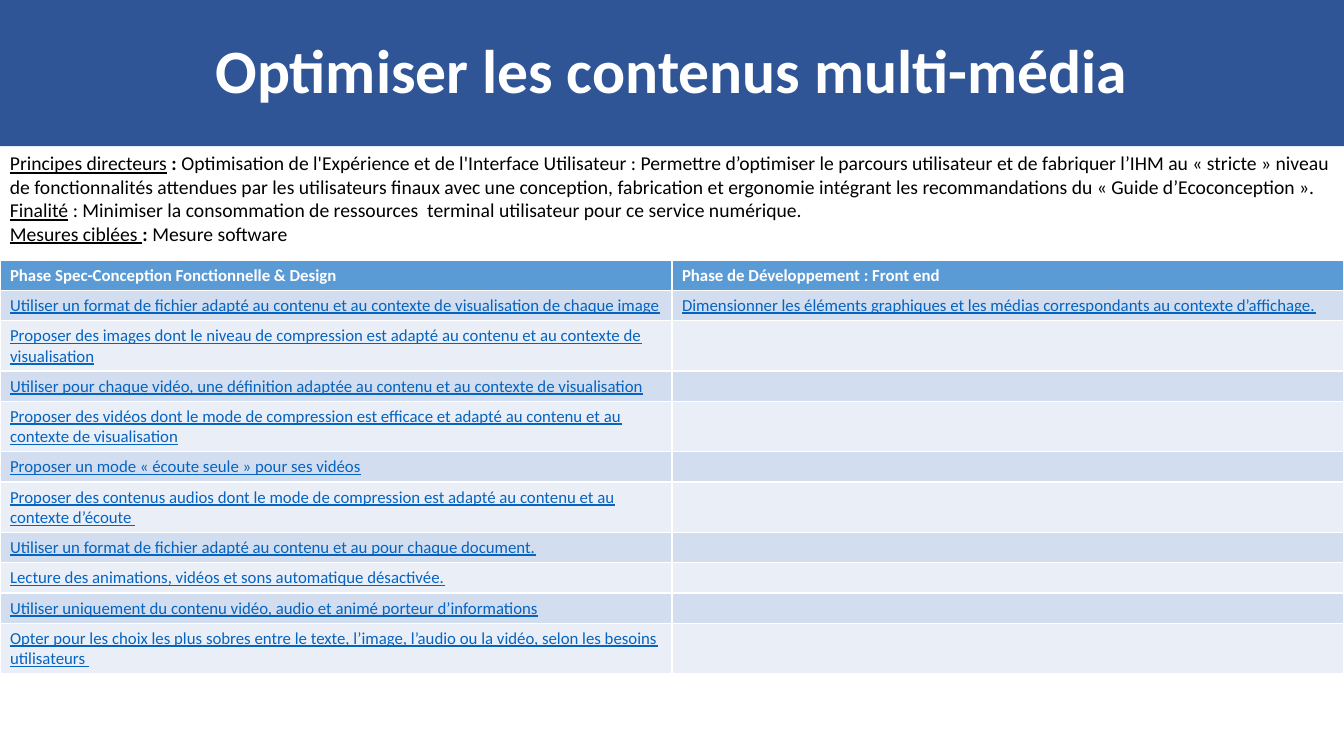
import pptx
import pptx.util
import pptx.dml.color
import pptx.enum.text

Inches = pptx.util.Inches
RGBColor = pptx.dml.color.RGBColor
NAVY = RGBColor(0x2F, 0x55, 0x97)
BLUE = RGBColor(0x5B, 0x9B, 0xD5)
PALE = RGBColor(0xD2, 0xDE, 0xEF)
LIGHT = RGBColor(0xEA, 0xEF, 0xF7)
LINK = RGBColor(0x05, 0x63, 0xC1)
WHITE = RGBColor(0xFF, 0xFF, 0xFF)
BLACK = RGBColor(0, 0, 0)
FACE = "Calibri"
WIDE = 13.33

INTRO = [
    [("Principes directeurs", "u"), (" : ", "b"),
     ("Optimisation de l'Expérience et de l'Interface Utilisateur : Permettre "
      "d’optimiser le parcours utilisateur et de fabriquer l’IHM au « stricte » "
      "niveau de fonctionnalités attendues par les utilisateurs finaux avec une "
      "conception, fabrication et ergonomie intégrant les recommandations du "
      "« Guide d’Ecoconception ».", "")],
    [("Finalité", "u"),
     (" : Minimiser la consommation de ressources  terminal utilisateur pour ce "
      "service numérique.", "")],
    [("Mesures ciblées ", "u"), (": ", "b"), ("Mesure software", "")],
]
HEADS = ["Phase Spec-Conception Fonctionnelle & Design",
         "Phase de Développement : Front end"]
DESIGN = [
    "Utiliser un format de fichier adapté au contenu et au contexte de visualisation de chaque image",
    "Proposer des images dont le niveau de compression est adapté au contenu et au contexte de visualisation",
    "Utiliser pour chaque vidéo, une définition adaptée au contenu et au contexte de visualisation",
    "Proposer des vidéos dont le mode de compression est efficace et adapté au contenu et au contexte de visualisation",
    "Proposer un mode « écoute seule » pour ses vidéos",
    "Proposer des contenus audios dont le mode de compression est adapté au contenu et au contexte d’écoute ",
    "Utiliser un format de fichier adapté au contenu et au pour chaque document.",
    "Lecture des animations, vidéos et sons automatique désactivée.",
    "Utiliser uniquement du contenu vidéo, audio et animé porteur d’informations",
    "Opter pour les choix les plus sobres entre le texte, l’image, l’audio ou la vidéo, selon les besoins utilisateurs ",
]
FRONT = ["Dimensionner les éléments graphiques et les médias correspondants au contexte d’affichage."]
LONG = 100


def style(run, size, color, bold=False, under=False):
    """Format one run."""
    font = run.font
    font.name = FACE
    font.size = pptx.util.Pt(size)
    font.color.rgb = color
    font.bold = bold
    font.underline = under


def banner(slide, left, top, width, height):
    """Turn the title placeholder into the banner."""
    title = slide.shapes.title
    title.left, title.top = Inches(left), Inches(top)
    title.width, title.height = Inches(width), Inches(height)
    title.fill.solid()
    title.fill.fore_color.rgb = NAVY
    frame = title.text_frame
    frame.text = "Optimiser les contenus multi-média"
    frame.vertical_anchor = pptx.enum.text.MSO_ANCHOR.MIDDLE
    para = frame.paragraphs[0]
    para.alignment = pptx.enum.text.PP_ALIGN.CENTER
    para.line_spacing = 0.9
    style(para.runs[0], 44, WHITE, bold=True)


def intro(slide, left, top, width, height):
    """Write the guiding principles in a text box."""
    box = slide.shapes.add_textbox(
        Inches(left), Inches(top), Inches(width), Inches(height))
    frame = box.text_frame
    frame.word_wrap = True
    for index, parts in enumerate(INTRO):
        para = frame.add_paragraph() if index else frame.paragraphs[0]
        for text, mark in parts:
            run = para.add_run()
            run.text = text
            style(run, 14, BLACK, mark == "b", mark == "u")


def fill_cell(cell, text, back, color, head):
    """Fill one table cell, keeping empty ones at the same text size."""
    cell.fill.solid()
    cell.fill.fore_color.rgb = back
    cell.text = text
    para = cell.text_frame.paragraphs[0]
    for run in para.runs:
        style(run, 12, color, head, not head)
    if not text:
        para._p.get_or_add_endParaRPr().set("sz", "1200")


def measures(slide, left, top, width):
    """Lay out the table of measures by phase."""
    blanks = [""] * (len(DESIGN) - len(FRONT))
    rows = [HEADS, *zip(DESIGN, FRONT + blanks)]
    tall = [0.5 if len(row[0]) > LONG else 0.3 for row in rows]
    table = slide.shapes.add_table(
        len(rows), len(HEADS), Inches(left), Inches(top),
        Inches(width), Inches(sum(tall))).table
    for index, row in enumerate(rows):
        table.rows[index].height = Inches(tall[index])
        head = index == 0
        back = BLUE if head else PALE if index % 2 else LIGHT
        for col, text in enumerate(row):
            fill_cell(table.cell(index, col), text, back,
                      WHITE if head else LINK, head)


def main():
    """Build and save the slide."""
    deck = pptx.Presentation()
    deck.slide_width, deck.slide_height = Inches(WIDE), Inches(7.5)
    slide = deck.slides.add_slide(deck.slide_layouts[5])
    banner(slide, 0, 0, WIDE, 1.45)
    intro(slide, 0, 1.45, WIDE, 1.22)
    measures(slide, 0, 2.58, WIDE)
    deck.save("out.pptx")


if __name__ == "__main__":
    main()
